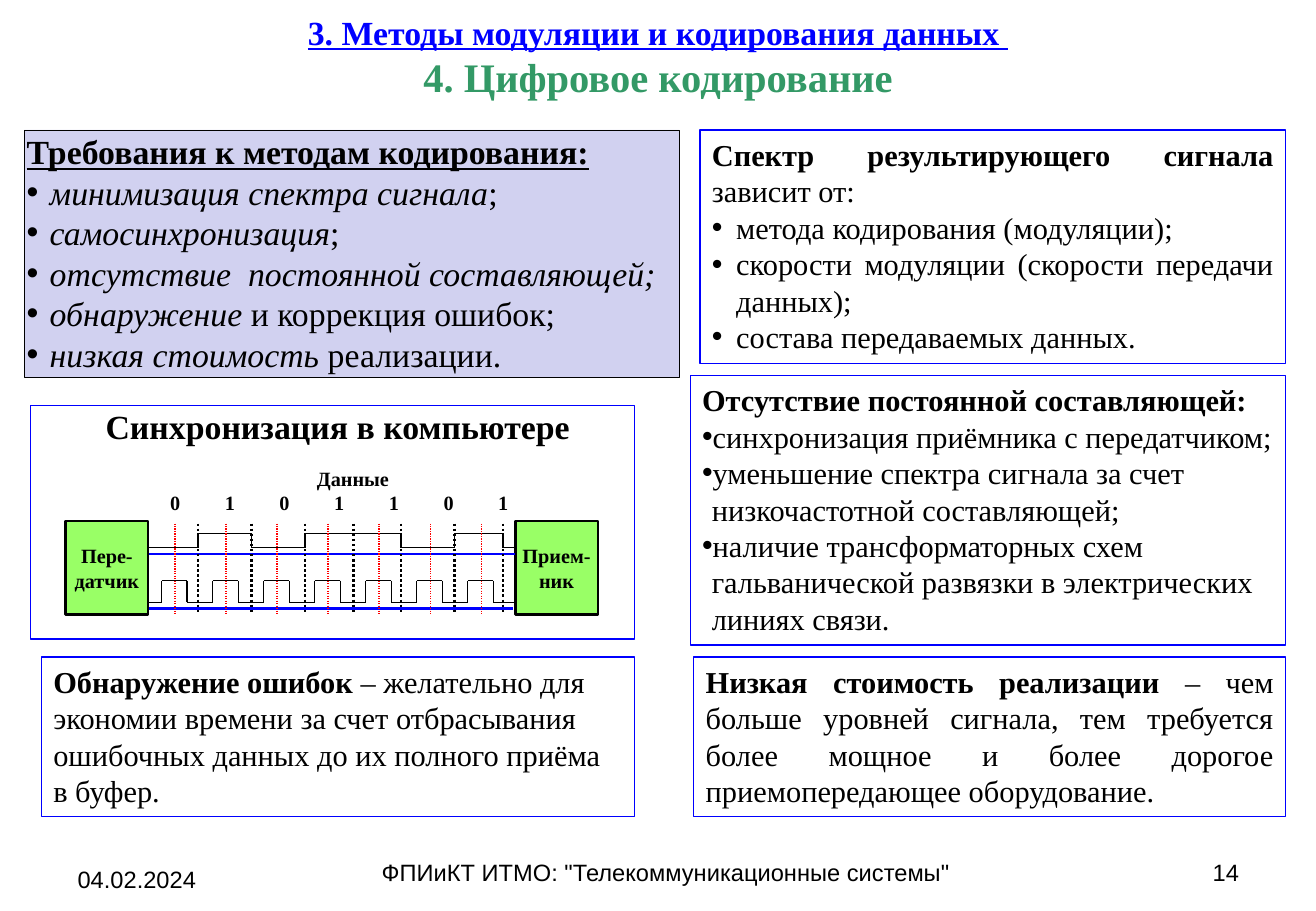
from itertools import pairwise

from lxml.etree import SubElement
from pptx import Presentation
from pptx.dml.color import RGBColor
from pptx.enum.dml import MSO_LINE
from pptx.enum.shapes import MSO_CONNECTOR, MSO_SHAPE
from pptx.enum.text import MSO_ANCHOR, PP_ALIGN
from pptx.oxml.ns import qn
from pptx.util import Inches, Pt

BLACK, BLUE, RED, GREEN, TEAL, LILAC = "000000", "0000FF", "FF0000", "99FF66", "339966", "D1D1F0"
SERIF, SANS = "Times New Roman", "Arial"
LEFT, CENTER, RIGHT, JUSTIFY = PP_ALIGN.LEFT, PP_ALIGN.CENTER, PP_ALIGN.RIGHT, PP_ALIGN.JUSTIFY
WIDTH, HEIGHT = 10.83, 7.5
DATA_BITS = (0, 1, 0, 1, 1, 0, 1, 0)
BIT_EDGES = (0.4, 0.84, 1.28, 1.68, 2.07, 2.51, 2.91)
BIT_LABELS = "0101101"


def color(value):
    return RGBColor.from_string(value)


def add_box(slide, box, fill=None, line=None, weight=0.75):
    shape = slide.shapes.add_shape(MSO_SHAPE.RECTANGLE, *map(Inches, box))
    shape.shadow.inherit = False
    if fill:
        shape.fill.solid()
        shape.fill.fore_color.rgb = color(fill)
    else:
        shape.fill.background()
    shape.line.color.rgb = color(line)
    shape.line.width = Pt(weight)
    return shape


def add_text_box(slide, box):
    return slide.shapes.add_textbox(*map(Inches, box))


def set_frame(shape, insets=(0.1, 0.05), anchor=MSO_ANCHOR.TOP):
    frame = shape.text_frame
    frame.word_wrap = True
    frame.vertical_anchor = anchor
    frame.margin_left = frame.margin_right = Inches(insets[0])
    frame.margin_top = frame.margin_bottom = Inches(insets[1])
    return frame


def add_run(paragraph, text, size, style="", font=SERIF, ink=BLACK):
    run = paragraph.add_run()
    run.text = text
    run.font.size = Pt(size)
    run.font.name = font
    run.font.color.rgb = color(ink)
    run.font.bold = "b" in style
    run.font.italic = "i" in style
    run.font.underline = "u" in style


def add_bullet(paragraph, hang):
    properties = paragraph._p.get_or_add_pPr()
    properties.set("marL", str(Inches(hang)))
    properties.set("indent", str(-Inches(hang)))
    SubElement(properties, qn("a:buFont")).set("typeface", SANS)
    SubElement(properties, qn("a:buChar")).set("char", "•")


def write(shape, paragraphs, size, align=LEFT, hang=None, font=SERIF, **frame_options):
    frame = set_frame(shape, **frame_options)
    for index, runs in enumerate(paragraphs):
        paragraph = frame.paragraphs[0] if index == 0 else frame.add_paragraph()
        paragraph.alignment = align
        if hang and index:
            add_bullet(paragraph, hang)
        for text, style in runs:
            add_run(paragraph, text, size, style, font)


def add_line(slide, start, end, ink=BLACK, weight=0.75, dotted=False):
    connector = slide.shapes.add_connector(MSO_CONNECTOR.STRAIGHT, *map(Inches, start + end))
    connector.line.color.rgb = color(ink)
    connector.line.width = Pt(weight)
    if dotted:
        connector.line.dash_style = MSO_LINE.ROUND_DOT
    SubElement(connector._element.spPr, qn("a:effectLst"))


def add_trace(slide, start, end, edges, levels, low, high):
    heights = [high if level else low for level in levels]
    points = [(start, heights[0])]
    for edge, (before, after) in zip(edges, pairwise(heights)):
        if before != after:
            points += [(edge, before), (edge, after)]
    points.append((end, heights[-1]))
    for first, second in pairwise(points):
        add_line(slide, first, second)


def add_title(slide, box):
    frame = set_frame(add_text_box(slide, box), anchor=MSO_ANCHOR.MIDDLE)
    paragraph = frame.paragraphs[0]
    paragraph.alignment = CENTER
    add_run(paragraph, "3. Методы модуляции и кодирования данных ", 20, "bu", ink=BLUE)
    paragraph.add_line_break()
    add_run(paragraph, "4. Цифровое кодирование", 24, "b", ink=TEAL)


def add_requirements(slide, box):
    write(add_box(slide, box, LILAC, BLACK, 0.5), [
        [("Требования к методам кодирования:", "bu")],
        [(" минимизация спектра сигнала", "i"), (";", "")],
        [(" самосинхронизация", "i"), (";", "")],
        [(" отсутствие  постоянной составляющей;", "i")],
        [(" обнаружение ", "i"), ("и коррекция ошибок;", "")],
        [(" низкая стоимость", "i"), (" реализации.", "")],
    ], 20, hang=0.12, insets=(0.02, 0.01))


def add_note(slide, box, paragraphs, align=LEFT, hang=None):
    write(add_box(slide, box, line=BLUE), paragraphs, 18, align, hang)


def add_bit_labels(slide, box):
    shape = add_text_box(slide, box)
    write(shape, [[("Данные", "b")], [("\t".join(BIT_LABELS), "b")]], 12, CENTER, insets=(0.02, 0.01))
    paragraph = shape.text_frame.paragraphs[1]
    paragraph.alignment = LEFT
    tabs = SubElement(paragraph._p.get_or_add_pPr(), qn("a:tabLst"))
    for index in range(1, len(BIT_LABELS)):
        tab = SubElement(tabs, qn("a:tab"))
        tab.set("pos", str(Inches(0.45 * index)))
        tab.set("algn", "l")


def add_synchronization(slide, box):
    left, top, width, height = box
    start, end = left + 0.98, left + 3.99
    device_top, device_width, device_height = top + 0.95, 0.68, 0.77
    for device_left, name in ((left + 0.29, "Пере-датчик"), (end, "Прием-ник")):
        device = add_box(slide, (device_left, device_top, device_width, device_height), GREEN, BLACK, 1.5)
        write(device, [[(name, "b")]], 12, CENTER, insets=(0.02, 0.05), anchor=MSO_ANCHOR.MIDDLE)
    for offset, finish in ((1.22, end), (1.67, end - 0.02)):
        add_line(slide, (start, top + offset), (finish, top + offset), BLUE, 1.5)
    clock_edges = [start + 0.1 + 0.21 * index for index in range(14)]
    add_trace(slide, start, end, clock_edges, [index % 2 for index in range(15)], top + 1.62, top + 1.44)
    bit_edges = [start + edge for edge in BIT_EDGES]
    add_trace(slide, start, end, bit_edges, DATA_BITS, top + 1.17, top + 1.05)
    pulse_centers = [edge + 0.11 for edge in clock_edges[::2]]
    for positions, ink, weight in ((pulse_centers, RED, 0.75), (bit_edges, BLACK, 1.5)):
        for position in positions:
            add_line(slide, (position, top + 0.97), (position, top + 1.72), ink, weight, True)
    add_bit_labels(slide, (left + 1.13, top + 0.49, 3.05, 0.44))
    heading = add_text_box(slide, (left + 0.34, top - 0.05, 4.38, 0.44))
    write(heading, [[("Синхронизация в компьютере", "b")]], 20, CENTER)
    add_box(slide, box, line=BLUE)


def add_footer(slide, box):
    left, top, width, height = box
    for offset, drop, share, text, align in (
        (0, 0.06, 0.26, "04.02.2024", LEFT),
        (1.82, 0, 0.64, 'ФПИиКТ ИТМО: "Телекоммуникационные системы"', CENTER),
        (7.22, 0, 0.26, "14", RIGHT),
    ):
        shape = add_text_box(slide, (left + offset, top + drop, width * share, height - drop))
        write(shape, [[(text, "")]], 14, align, font=SANS)


def main():
    presentation = Presentation()
    presentation.slide_width, presentation.slide_height = Inches(WIDTH), Inches(HEIGHT)
    slide = presentation.slides.add_slide(presentation.slide_layouts[6])
    add_footer(slide, (0.54, 7.01, 9.75, 0.34))
    add_requirements(slide, (0.2, 1.07, 5.39, 2.04))
    add_note(slide, (5.76, 1.07, 4.82, 1.92), [
        [("Спектр результирующего сигнала ", "b"), ("зависит от:", "")],
        [("метода кодирования (модуляции);", "")],
        [("скорости модуляции (скорости передачи данных);", "")],
        [("состава передаваемых данных.", "")],
    ], JUSTIFY, 0.2)
    add_note(slide, (5.68, 3.09, 4.9, 2.22), [
        [("Отсутствие постоянной составляющей:", "b")],
        [("синхронизация приёмника с передатчиком;", "")],
        [("уменьшение спектра сигнала за счет низкочастотной составляющей;", "")],
        [("наличие трансформаторных схем гальванической развязки в электрических линиях связи.", "")],
    ], hang=0.08)
    add_note(slide, (0.34, 5.41, 4.88, 1.31), [[
        ("Обнаружение ошибок", "b"),
        (" – желательно для экономии времени за счет отбрасывания ошибочных данных "
         "до их полного приёма в буфер.", ""),
    ]])
    add_note(slide, (5.71, 5.41, 4.87, 1.31), [[
        ("Низкая стоимость реализации ", "b"),
        ("– чем больше уровней сигнала, тем требуется более мощное и более дорогое "
         "приемопередающее оборудование.", ""),
    ]], JUSTIFY)
    add_synchronization(slide, (0.25, 3.34, 4.97, 1.92))
    add_title(slide, (0.54, 0, 9.75, 0.92))
    presentation.save("out.pptx")


if __name__ == "__main__":
    main()
